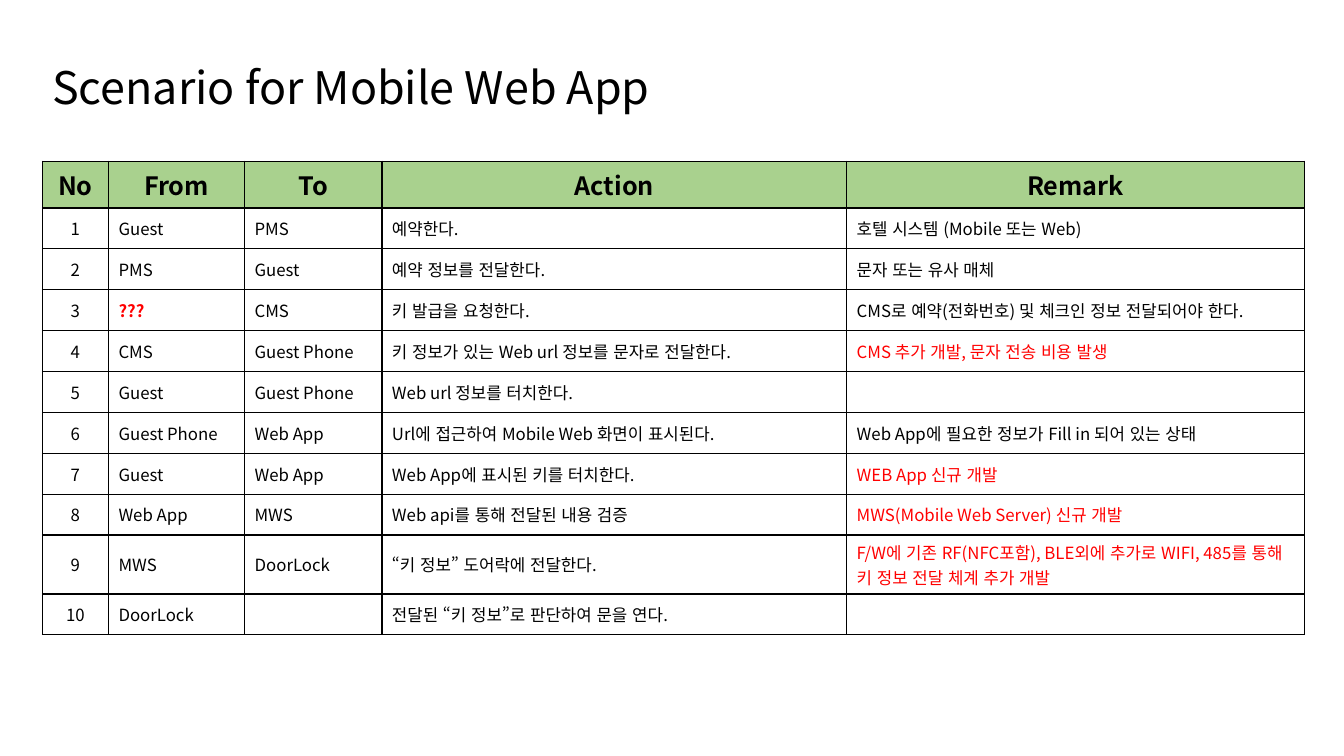
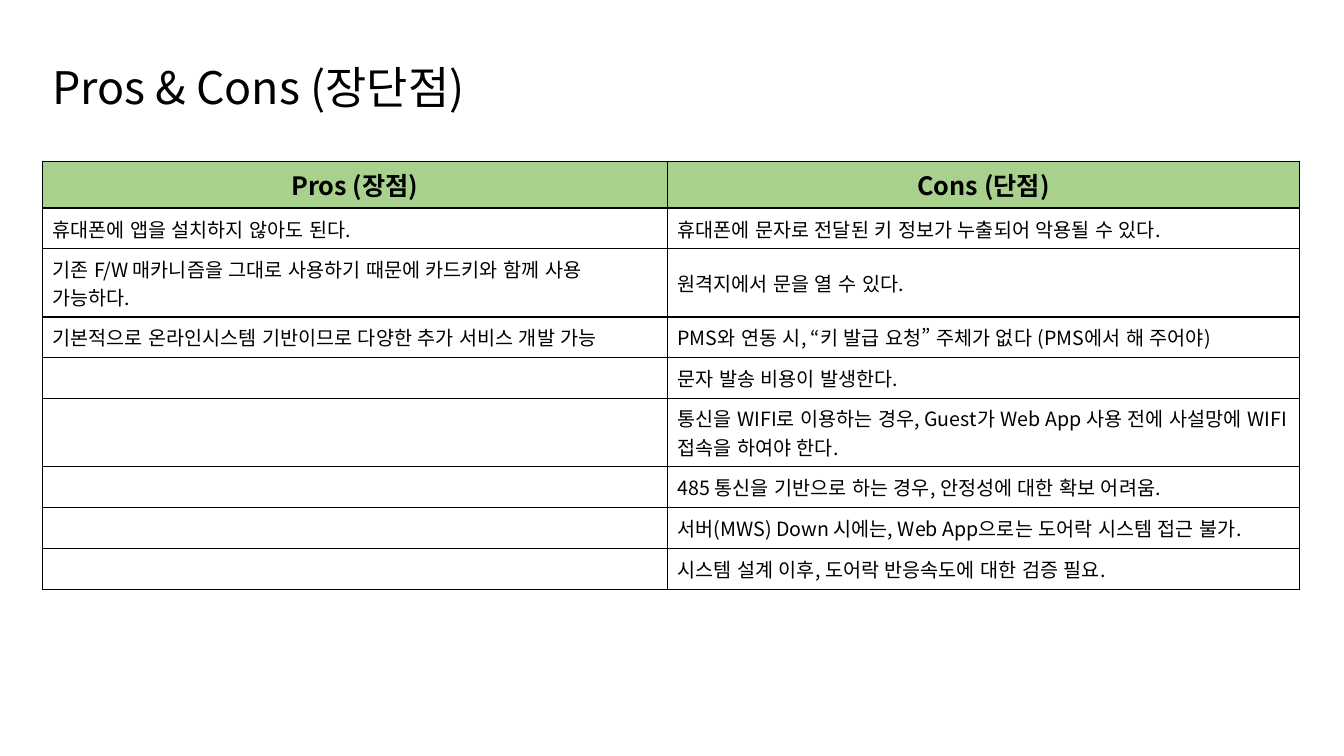
"""Build two slides that describe a mobile web key service and weigh it up."""
from dataclasses import dataclass
from typing import NamedTuple

import lxml.etree
import pptx
import pptx.dml.color
import pptx.enum.text
import pptx.oxml.ns
import pptx.util

ALIGN = pptx.enum.text.PP_ALIGN
ANCHOR = pptx.enum.text.MSO_ANCHOR


@dataclass(frozen=True)
class Theme:
    font: str = "Noto Sans CJK KR"
    language: str = "ko-KR"
    ink: str = "000000"
    alert: str = "FF0000"
    header: str = "A9D18E"
    title_size: int = 32
    header_size: int = 18
    border: float = 1
    left: float = 3.15
    title_top: float = 5.33
    title_width: float = 94.07
    title_height: float = 13.07
    table_top: float = 21.33
    header_height: float = 6.19
    row_height: float = 5.41


class Alert(NamedTuple):
    text: str
    bold: bool = False


class Column(NamedTuple):
    heading: str
    share: float
    align: ALIGN = ALIGN.LEFT


@dataclass(frozen=True)
class Page:
    title: str
    body_size: int
    tall_height: float
    tall_rows: tuple[int, ...]
    columns: tuple[Column, ...]
    rows: tuple[tuple[str | Alert, ...], ...]


THEME = Theme()
WIDTH = pptx.util.Inches(13.33)
HEIGHT = pptx.util.Inches(7.5)

PAGES = (
    Page(
        "Scenario for Mobile Web App",
        12,
        7.8,
        (9,),
        (
            Column("No", 4.92, ALIGN.CENTER),
            Column("From", 10.13),
            Column("To", 10.22),
            Column("Action", 34.58),
            Column("Remark", 34.06),
        ),
        (
            ("1", "Guest", "PMS", "예약한다.", "호텔 시스템 (Mobile 또는 Web)"),
            ("2", "PMS", "Guest", "예약 정보를 전달한다.", "문자 또는 유사 매체"),
            ("3", Alert("???", True), "CMS", "키 발급을 요청한다.",
             "CMS로 예약(전화번호) 및 체크인 정보 전달되어야 한다."),
            ("4", "CMS", "Guest Phone", "키 정보가 있는 Web url 정보를 문자로 전달한다.",
             Alert("CMS 추가 개발, 문자 전송 비용 발생")),
            ("5", "Guest", "Guest Phone", "Web url 정보를 터치한다.", ""),
            ("6", "Guest Phone", "Web App", "Url에 접근하여 Mobile Web 화면이 표시된다.",
             "Web App에 필요한 정보가 Fill in 되어 있는 상태"),
            ("7", "Guest", "Web App", "Web App에 표시된 키를 터치한다.",
             Alert("WEB App 신규 개발")),
            ("8", "Web App", "MWS", "Web api를 통해 전달된 내용 검증",
             Alert("MWS(Mobile Web Server) 신규 개발")),
            ("9", "MWS", "DoorLock", "“키 정보” 도어락에 전달한다.",
             Alert("F/W에 기존 RF(NFC포함), BLE외에 추가로 WIFI, 485를 "
                   "통해 키 정보 전달 체계 추가 개발")),
            ("10", "DoorLock", "", "전달된 “키 정보”로 판단하여 문을 연다.", ""),
        ),
    ),
    Page(
        "Pros & Cons (장단점)",
        14,
        9,
        (2, 5),
        (Column("Pros (장점)", 46.51), Column("Cons (단점)", 47.04)),
        (
            ("휴대폰에 앱을 설치하지 않아도 된다.",
             "휴대폰에 문자로 전달된 키 정보가 누출되어 악용될 수 있다."),
            ("기존 F/W 매카니즘을 그대로 사용하기 때문에 카드키와 함께 사용 가능하다.",
             "원격지에서 문을 열 수 있다."),
            ("기본적으로 온라인시스템 기반이므로 다양한 추가 서비스 개발 가능",
             "PMS와 연동 시, “키 발급 요청” 주체가 없다 (PMS에서 해 주어야)"),
            ("", "문자 발송 비용이 발생한다."),
            ("", "통신을 WIFI로 이용하는 경우, Guest가 Web App 사용 전에 사설망에 "
                 "WIFI 접속을 하여야 한다."),
            ("", "485 통신을 기반으로 하는 경우, 안정성에 대한 확보 어려움."),
            ("", "서버(MWS) Down 시에는, Web App으로는 도어락 시스템 접근 불가."),
            ("", "시스템 설계 이후, 도어락 반응속도에 대한 검증 필요."),
        ),
    ),
)


def across(share: float) -> int:
    """Turn a percentage of the slide width into a length."""
    return round(WIDTH * share / 100)


def down(share: float) -> int:
    """Turn a percentage of the slide height into a length."""
    return round(HEIGHT * share / 100)


def add_child(parent, tag: str, **attributes: str):
    """Append a drawing element to a parent element."""
    return lxml.etree.SubElement(parent, pptx.oxml.ns.qn(tag), attributes)


def write(para, text: str, size: int, color: str = THEME.ink, bold: bool = False) -> None:
    """Add one styled run, or size the empty paragraph."""
    if not text:
        add_child(para._p, "a:endParaRPr", sz=str(size * 100))
        return
    span = para.add_run()
    span.text = text
    span.font.size = pptx.util.Pt(size)
    span.font.bold = bold
    span.font.name = THEME.font
    span.font.color.rgb = pptx.dml.color.RGBColor.from_string(color)
    properties = span._r.get_or_add_rPr()
    properties.set("lang", THEME.language)
    properties.set("altLang", "en-US")
    add_child(properties, "a:ea", typeface=THEME.font)


def add_borders(cell) -> None:
    """Draw a solid line on all four sides of a cell."""
    properties = cell._tc.get_or_add_tcPr()
    for side in ("a:lnL", "a:lnR", "a:lnT", "a:lnB"):
        line = add_child(properties, side, w=str(pptx.util.Pt(THEME.border)))
        add_child(add_child(line, "a:solidFill"), "a:srgbClr", val=THEME.ink)


def add_title(slide, title: str) -> None:
    """Place the slide title."""
    box = slide.shapes.add_textbox(
        across(THEME.left), down(THEME.title_top),
        across(THEME.title_width), down(THEME.title_height))
    box.text_frame.word_wrap = True
    box.text_frame.vertical_anchor = ANCHOR.MIDDLE
    para = box.text_frame.paragraphs[0]
    para.line_spacing = 0.9
    write(para, title, THEME.title_size)


def fill_header(cell, column: Column) -> None:
    """Write a heading on the header colour."""
    add_borders(cell)
    cell.fill.solid()
    cell.fill.fore_color.rgb = pptx.dml.color.RGBColor.from_string(THEME.header)
    para = cell.text_frame.paragraphs[0]
    para.alignment = ALIGN.CENTER
    write(para, column.heading, THEME.header_size, bold=True)


def fill_body(cell, column: Column, entry: str | Alert, size: int) -> None:
    """Write a plain or highlighted entry in a body cell."""
    add_borders(cell)
    cell.fill.background()
    cell.vertical_anchor = ANCHOR.MIDDLE
    para = cell.text_frame.paragraphs[0]
    para.alignment = column.align
    if isinstance(entry, Alert):
        write(para, entry.text, size, THEME.alert, entry.bold)
    else:
        write(para, entry, size)


def row_shares(page: Page) -> list[float]:
    """List the height of the header and of each body row."""
    return [THEME.header_height] + [
        page.tall_height if number in page.tall_rows else THEME.row_height
        for number in range(1, len(page.rows) + 1)]


def add_grid(slide, page: Page) -> None:
    """Add the bordered table of a page."""
    heights = row_shares(page)
    table = slide.shapes.add_table(
        len(heights), len(page.columns), across(THEME.left), down(THEME.table_top),
        across(sum(column.share for column in page.columns)),
        down(sum(heights))).table
    table.horz_banding = False
    for row, height in zip(table.rows, heights):
        row.height = down(height)
    for index, column in enumerate(page.columns):
        table.columns[index].width = across(column.share)
        fill_header(table.cell(0, index), column)
        for number, entries in enumerate(page.rows, start=1):
            fill_body(table.cell(number, index), column, entries[index], page.body_size)


def main() -> None:
    """Build and save the deck."""
    deck = pptx.Presentation()
    deck.slide_width, deck.slide_height = WIDTH, HEIGHT
    for page in PAGES:
        slide = deck.slides.add_slide(deck.slide_layouts[6])
        add_title(slide, page.title)
        add_grid(slide, page)
    deck.save("out.pptx")


if __name__ == "__main__":
    main()
